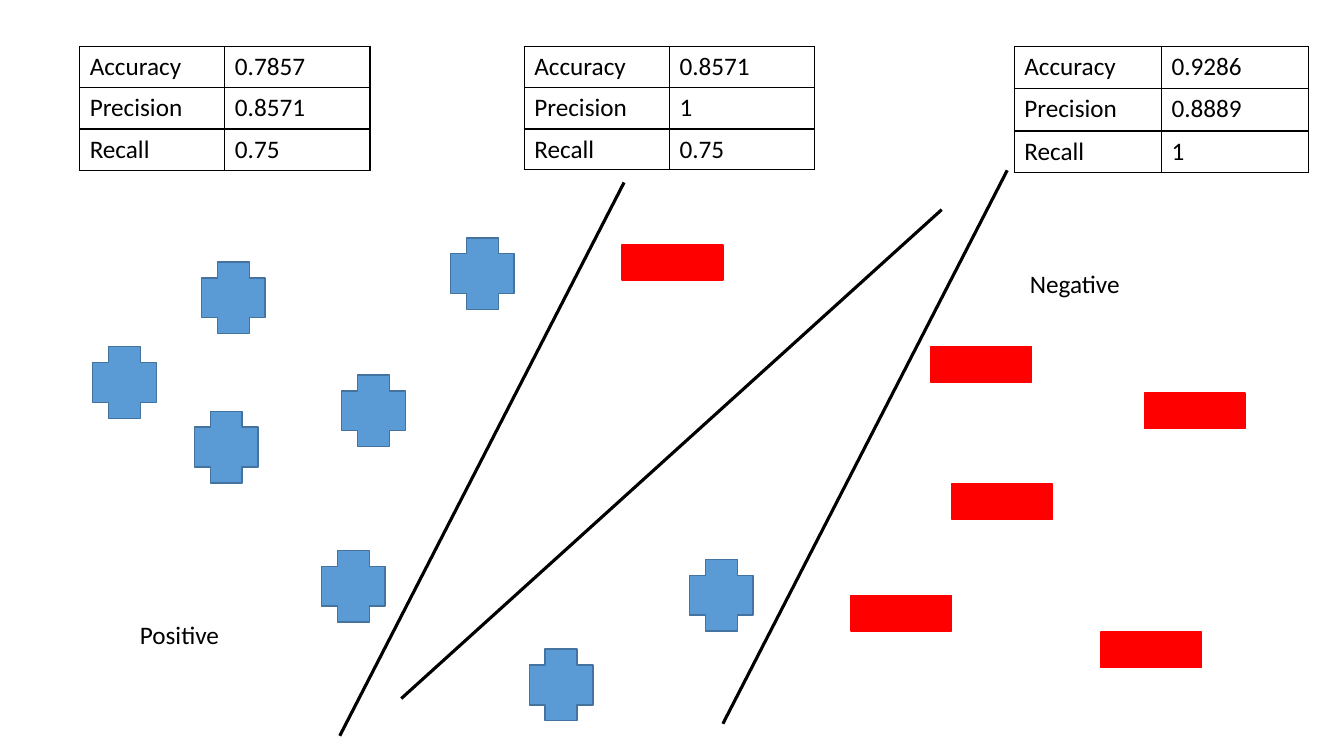
from lxml.etree import SubElement
from pptx import Presentation
from pptx.dml.color import RGBColor
from pptx.enum.shapes import MSO_CONNECTOR, MSO_SHAPE
from pptx.enum.text import MSO_AUTO_SIZE, PP_ALIGN
from pptx.oxml.ns import qn
from pptx.util import Inches, Pt

COLORS = {
    "black": "000000",
    "white": "FFFFFF",
    "positive": "5B9BD5",
    "positive_edge": "43739E",
    "negative": "FF0000",
}
SLIDE_WIDTH, SLIDE_HEIGHT = Inches(13.33), Inches(7.5)
GRID_COLUMNS, GRID_ROWS = 13.33, 7.5
FONT_NAME, FONT_SIZE = "Calibri", Pt(18)

METRICS = ("Accuracy", "Precision", "Recall")
SCORE_TABLES = [
    (0.79, 1.44, (0.41, 0.41, 0.41), ("0.7857", "0.8571", "0.75")),
    (10.06, 1.46, (0.42, 0.42, 0.41), ("0.9286", "0.8889", "1")),
    (5.2, 1.44, (0.41, 0.41, 0.39), ("0.8571", "1", "0.75")),
]
POSITIVES = [
    (2, 2.6), (6.84, 5.55), (3.19, 5.46), (3.39, 3.72),
    (1.93, 4.08), (0.92, 3.44), (4.47, 2.36), (5.25, 6.44),
]
NEGATIVES = [
    (8.44, 5.91), (9.23, 3.44), (11.35, 3.9),
    (9.44, 4.8), (6.17, 2.43), (10.92, 6.27),
]
BOUNDARIES = [
    ((3.37, 7.3), (6.19, 1.81)),
    ((3.98, 6.93), (9.34, 2.08)),
    ((7.17, 7.18), (9.99, 1.69)),
]
CLASS_LABELS = [("Positive", 0.28, 6.09), ("Negative", 9.16, 2.61)]


def across(columns):
    return round(SLIDE_WIDTH * columns / GRID_COLUMNS)


def down(rows):
    return round(SLIDE_HEIGHT * rows / GRID_ROWS)


def color(name):
    return RGBColor.from_string(COLORS[name])


def style_paragraph(paragraph, alignment=PP_ALIGN.LEFT):
    paragraph.alignment = alignment
    paragraph.font.name = FONT_NAME
    paragraph.font.size = FONT_SIZE
    paragraph.font.color.rgb = color("black")


def add_boundary(slide, start, end):
    connector = slide.shapes.add_connector(
        MSO_CONNECTOR.STRAIGHT,
        across(start[0]), down(start[1]), across(end[0]), down(end[1]),
    )
    connector.line.color.rgb = color("black")
    connector.line.width = Pt(2.25)
    SubElement(connector.element.spPr, qn("a:effectLst"))


def add_marker(slide, kind, position, size, fill, edge):
    shape = slide.shapes.add_shape(
        kind, across(position[0]), down(position[1]), across(size[0]), down(size[1])
    )
    shape.shadow.inherit = False
    shape.fill.solid()
    shape.fill.fore_color.rgb = color(fill)
    shape.line.color.rgb = color(edge)
    shape.line.width = Pt(1)


def add_class_label(slide, text, left, top):
    box = slide.shapes.add_textbox(across(left), down(top), across(3), down(0.4))
    frame = box.text_frame
    frame.word_wrap = True
    frame.auto_size = MSO_AUTO_SIZE.SHAPE_TO_FIT_TEXT
    frame.text = text
    style_paragraph(frame.paragraphs[0], PP_ALIGN.CENTER)


def add_borders(cell):
    properties = cell._tc.get_or_add_tcPr()
    for side in ("lnL", "lnR", "lnT", "lnB"):
        border = SubElement(properties, qn(f"a:{side}"), w=str(Pt(1)))
        fill = SubElement(border, qn("a:solidFill"))
        SubElement(fill, qn("a:srgbClr"), val=COLORS["black"])


def add_score_table(slide, left, column_width, row_heights, scores):
    frame = slide.shapes.add_table(
        len(METRICS), 2, across(left), down(0.46),
        across(2 * column_width), down(sum(row_heights)),
    )
    table = frame.table
    table.first_row = False
    table.horz_banding = False
    for column in table.columns:
        column.width = across(column_width)
    for row, height, texts in zip(table.rows, row_heights, zip(METRICS, scores)):
        row.height = down(height)
        for cell, text in zip(row.cells, texts):
            cell.text = text
            style_paragraph(cell.text_frame.paragraphs[0])
            add_borders(cell)
            cell.fill.solid()
            cell.fill.fore_color.rgb = color("white")


def main():
    presentation = Presentation()
    presentation.slide_width = SLIDE_WIDTH
    presentation.slide_height = SLIDE_HEIGHT
    slide = presentation.slides.add_slide(presentation.slide_layouts[6])
    for start, end in BOUNDARIES:
        add_boundary(slide, start, end)
    for label in CLASS_LABELS:
        add_class_label(slide, *label)
    for position in POSITIVES:
        add_marker(slide, MSO_SHAPE.CROSS, position, (0.63, 0.71),
                   "positive", "positive_edge")
    for position in NEGATIVES:
        add_marker(slide, MSO_SHAPE.RECTANGLE, position, (1, 0.35),
                   "negative", "negative")
    for score_table in SCORE_TABLES:
        add_score_table(slide, *score_table)
    presentation.save("out.pptx")


main()
